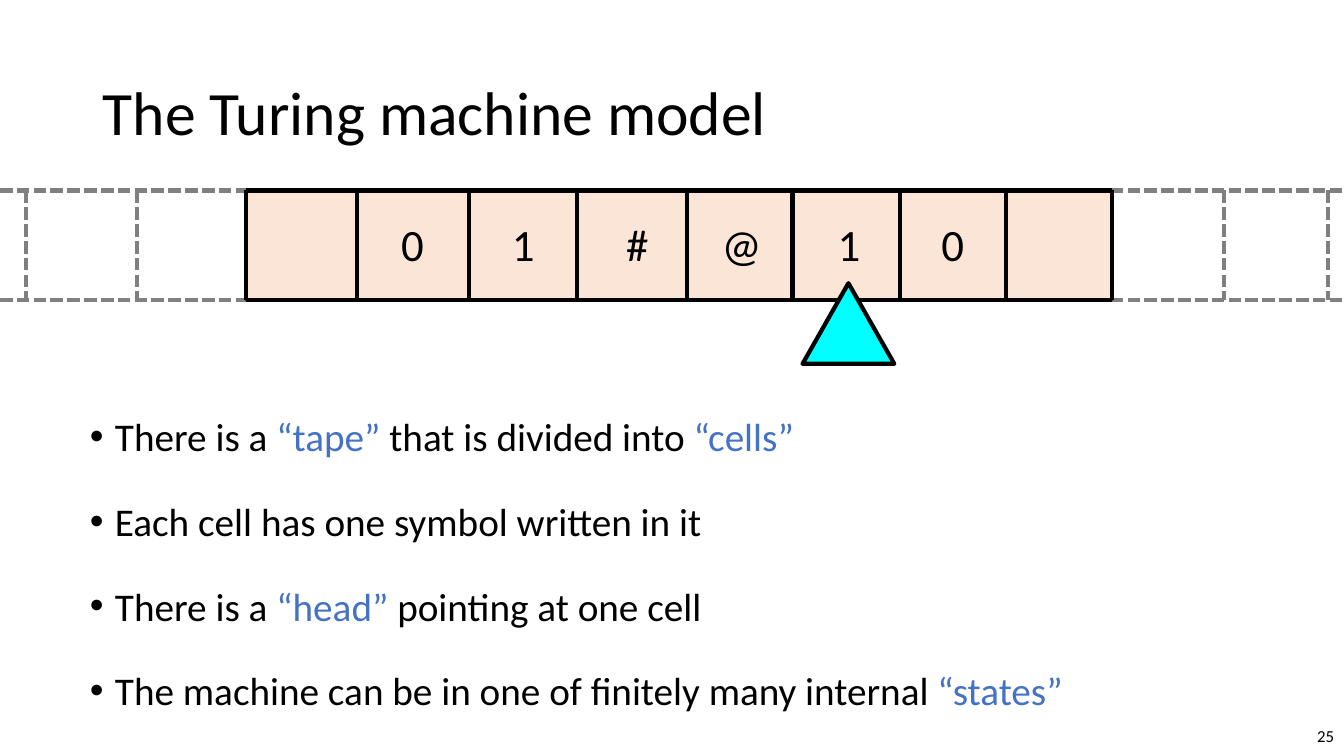
from lxml.etree import SubElement
from pptx import Presentation
from pptx.dml.color import RGBColor
from pptx.enum.dml import MSO_LINE
from pptx.enum.shapes import MSO_CONNECTOR, MSO_SHAPE
from pptx.enum.text import MSO_ANCHOR, MSO_AUTO_SIZE, PP_ALIGN
from pptx.oxml.ns import qn
from pptx.util import Pt

SCALE = 9144  # EMU in one px, 100 px to the inch
WIDTH, HEIGHT = 1333, 750
FONT = "Calibri"
COLORS = {
    "black": "000000",
    "blue": "4472C4",
    "gray": "808080",
    "peach": "FBE5D6",
    "navy": "1E3256",
    "cyan": "00FFFF",
}
TOP, BOTTOM = 189, 298
EDGES = [244, 354, 465, 572, 681, 786, 893, 998, 1103]
OUTER = [26, 136, 1214, 1317]
SYMBOLS = [(380, "0"), (490, "1"), (603, "#"), (706, "@"), (813, "1"), (916, "0")]
# Every second part between bars is a key term.
POINTS = [
    "There is a |“tape” |that is divided into |“cells”",
    "Each cell has one symbol written in it",
    "There is a |“head”| pointing at one cell",
    "The machine can be in one of finitely many internal |“states”",
]


def px(*values):
    return [value * SCALE for value in values]


def color(name):
    return RGBColor.from_string(COLORS[name])


def style(font, size, name="black"):
    font.name = FONT
    font.size = Pt(size)
    font.color.rgb = color(name)


def place(shape, left, top, width, height):
    shape.left, shape.top, shape.width, shape.height = px(left, top, width, height)


def add_title(slide, text):
    title = slide.shapes.title
    place(title, 92, 42, 1150, 145)
    frame = title.text_frame
    frame.text = text
    frame.auto_size = MSO_AUTO_SIZE.NONE
    frame.vertical_anchor = MSO_ANCHOR.MIDDLE
    line = frame.paragraphs[0]
    line.alignment = PP_ALIGN.LEFT
    line.line_spacing = 0.9
    style(line.runs[0].font, 44)


def add_bullet(para):
    props = para._p.get_or_add_pPr()
    props.set("marL", str(25 * SCALE))
    props.set("indent", str(-25 * SCALE))
    SubElement(props, qn("a:buFont")).set("typeface", "Arial")
    SubElement(props, qn("a:buChar")).set("char", "•")


def add_points(slide):
    body = slide.placeholders[1]
    place(body, 79, 381, 1203, 372)
    frame = body.text_frame
    frame.auto_size = MSO_AUTO_SIZE.NONE
    for row, point in enumerate(POINTS):
        para = frame.add_paragraph() if row else frame.paragraphs[0]
        add_bullet(para)
        para.line_spacing = 1.5
        para.space_before = Pt(10 if row else 0)
        for part, text in enumerate(point.split("|")):
            run = para.add_run()
            run.text = text
            style(run.font, 28, "blue" if part % 2 else "black")


def add_label(slide, box, text, size, align):
    frame = slide.shapes.add_textbox(*px(*box)).text_frame
    frame.word_wrap = True
    frame.vertical_anchor = MSO_ANCHOR.MIDDLE
    frame.text = text
    para = frame.paragraphs[0]
    para.alignment = align
    style(para.runs[0].font, size)


def add_line(slide, start, end, dashed=False):
    line = slide.shapes.add_connector(MSO_CONNECTOR.STRAIGHT, *px(*start, *end))
    SubElement(line._element.spPr, qn("a:effectLst"))
    line.line.width = Pt(3)
    line.line.color.rgb = color("gray" if dashed else "black")
    if dashed:
        line.line.dash_style = MSO_LINE.SQUARE_DOT


def add_block(slide, kind, box, fill, edge, weight):
    block = slide.shapes.add_shape(kind, *px(*box))
    block.shadow.inherit = False
    block.fill.solid()
    block.fill.fore_color.rgb = color(fill)
    block.line.color.rgb = color(edge)
    block.line.width = Pt(weight)


def add_tape(slide):
    left, right = EDGES[0], EDGES[-1]
    for y in (TOP, BOTTOM):
        add_line(slide, (0, y), (WIDTH, y), dashed=True)
    for x in OUTER:
        add_line(slide, (x, TOP), (x, BOTTOM), dashed=True)
    box = (left, TOP, right - left, BOTTOM - TOP)
    add_block(slide, MSO_SHAPE.RECTANGLE, box, "peach", "navy", 1)
    for y in (TOP, BOTTOM):
        add_line(slide, (left, y), (right, y))
    for x in EDGES:
        add_line(slide, (x, TOP), (x, BOTTOM))
    for x, symbol in SYMBOLS:
        add_label(slide, (x, 210, 58, 64), symbol, 32, PP_ALIGN.CENTER)


def main():
    deck = Presentation()
    deck.slide_width, deck.slide_height = px(WIDTH, HEIGHT)
    slide = deck.slides.add_slide(deck.slide_layouts[1])
    add_title(slide, "The Turing machine model")
    add_points(slide)
    add_tape(slide)
    head = (796, 281, 91, 80)
    add_block(slide, MSO_SHAPE.ISOSCELES_TRIANGLE, head, "cyan", "black", 3)
    add_label(slide, (1033, 710, 300, 40), "25", 12, PP_ALIGN.RIGHT)
    deck.save("out.pptx")


if __name__ == "__main__":
    main()
